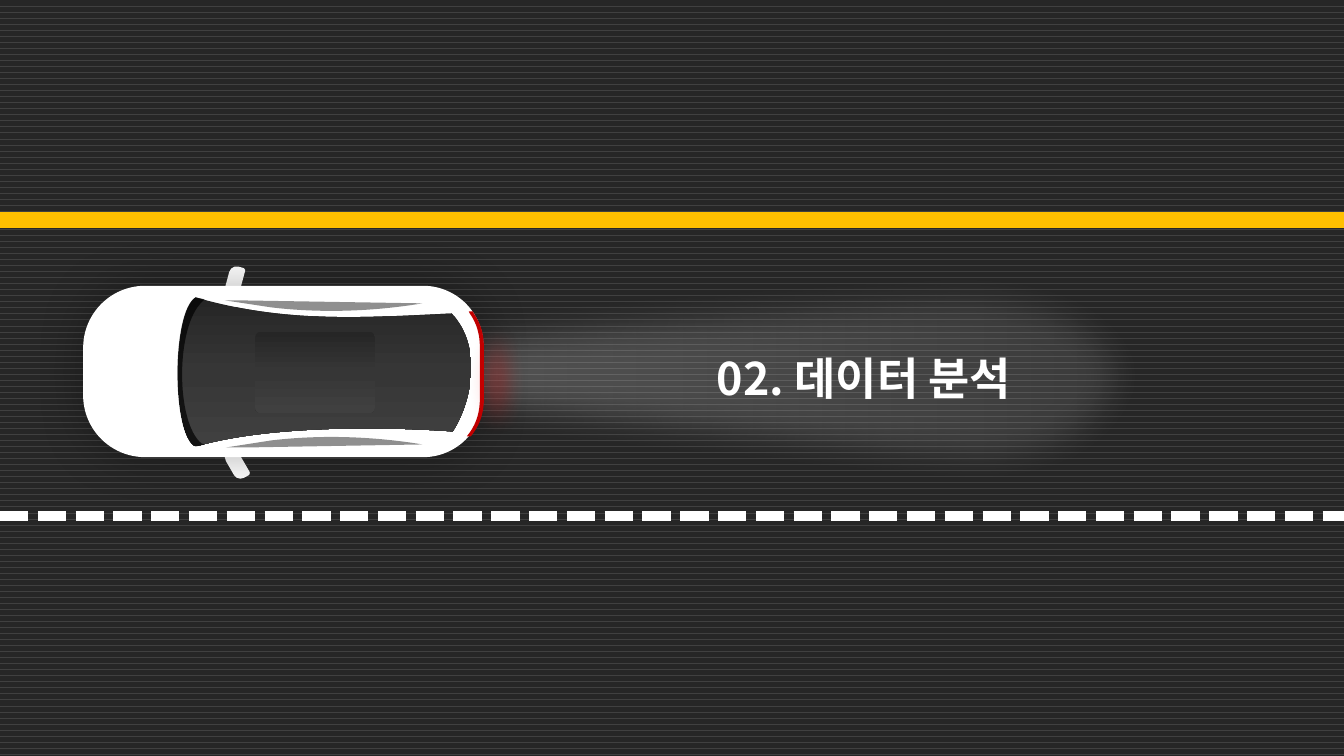
import pptx
import pptx.dml.color
import pptx.enum.dml
import pptx.enum.shapes
import pptx.enum.text
import pptx.oxml
import pptx.oxml.ns
import pptx.util
from pptx.util import Inches

FONT = "Noto Sans CJK KR"
COLORS = {
    "road": "262626", "road_line": "404040", "white": "FFFFFF", "yellow": "FFC000",
    "black": "000000", "glass_mid": "363636", "tail_light": "C00000", "glow": "FF0000",
}
NS = pptx.oxml.ns.nsdecls("a")
qn = pptx.oxml.ns.qn
SHAPE = pptx.enum.shapes.MSO_SHAPE
GLASS = [(0, "road", 100), (50, "glass_mid", 100), (100, "road_line", 100)]

# Outlines in inches: a start point, then lines (x, y) or Bézier curves (three points)
BEAM = [(2.71, 3.71), (2.71, 3.21, 4.49, 3, 7.1, 2.81), (9.7, 2.61, 11.42, 2.37, 11.48, 3.71),
        (11.37, 5.18, 9.81, 4.93, 7.1, 4.62), (4.38, 4.32, 2.71, 4.22, 2.71, 3.71)]
CABIN = [(1.94, 4.43), (1.71, 4.32, 1.71, 3.1, 1.94, 2.95), (2.84, 3.21, 3.62, 3.15, 4.48, 3.11),
         (4.79, 3.44, 4.68, 3.99, 4.49, 4.28), (3.79, 4.23, 2.66, 4.22, 1.94, 4.43)]
TOP_WINDOW = [(2.23, 2.98), (2.36, 2.98), (4.19, 3.01), (3.71, 3.09, 3.19, 3.11, 2.69, 3.05)]
BOTTOM_WINDOW = [(2.24, 4.44), (2.69, 4.37), (3.19, 4.31, 3.71, 4.33, 4.19, 4.41), (2.43, 4.44)]
TAIL_LIGHT = [(4.63, 4.33), (4.66, 4.29), (4.73, 4.19, 4.76, 4.08, 4.76, 3.95), (4.76, 3.45),
              (4.76, 3.32, 4.73, 3.21, 4.66, 3.11), (4.65, 3.09), (4.69, 3.09), (4.7, 3.11),
              (4.77, 3.21, 4.8, 3.32, 4.8, 3.45), (4.8, 3.95),
              (4.8, 4.08, 4.77, 4.19, 4.7, 4.29), (4.67, 4.33)]
WINDSHIELD = [(1.76, 3.7), (1.76, 3.37, 1.82, 3.02, 1.94, 2.95), (2.03, 2.97), (2.01, 2.99),
              (1.74, 3.23, 1.74, 4.19, 2, 4.4), (2.03, 4.41), (1.94, 4.43),
              (1.82, 4.38, 1.76, 4.04, 1.76, 3.7)]


def rgb(name):
    return pptx.dml.color.RGBColor.from_string(COLORS[name])


def color_xml(name, opacity):
    return f'<a:srgbClr val="{COLORS[name]}"><a:alpha val="{opacity * 1000}"/></a:srgbClr>'


def paint(sp, color, opacity=100):
    sp.shadow.inherit = False
    sp.line.fill.background()
    sp.fill.solid()
    sp.fill.fore_color.rgb = rgb(color)
    if opacity < 100:
        clr = sp._element.spPr.find(qn("a:solidFill"))[0]
        clr.append(pptx.oxml.parse_xml(f'<a:alpha {NS} val="{opacity * 1000}"/>'))


def paint_gradient(sp, stops, angle):
    """Fill with (position, color, opacity) stops, the angle running clockwise."""
    paint(sp, stops[0][1])
    gs = "".join(f'<a:gs pos="{pos * 1000}">{color_xml(color, opacity)}</a:gs>'
                 for pos, color, opacity in stops)
    solid = sp._element.spPr.find(qn("a:solidFill"))
    solid.getparent().replace(solid, pptx.oxml.parse_xml(
        f'<a:gradFill {NS} rotWithShape="1"><a:gsLst>{gs}</a:gsLst>'
        f'<a:lin ang="{angle * 60000}" scaled="0"/></a:gradFill>'))


def add_effect(sp, xml):
    sp._element.spPr.find(qn("a:effectLst")).append(pptx.oxml.parse_xml(xml))


def soften(sp, radius):
    add_effect(sp, f'<a:softEdge {NS} rad="{Inches(radius)}"/>')


def add_preset(s, kind, left, top, width, height, adjustments=(), rotation=0):
    sp = s.shapes.add_shape(kind, Inches(left), Inches(top), Inches(width), Inches(height))
    for i, value in enumerate(adjustments):
        sp.adjustments[i] = value
    sp.rotation = rotation
    return sp


def bounds(outline, steps=50):
    """Return left, top, right and bottom, counting the bulge of curves."""
    points = [outline[0]]
    for segment in outline[1:]:
        x0, y0 = points[-1]
        points.append(segment[-2:])
        if len(segment) == 6:
            x1, y1, x2, y2, x3, y3 = segment
            for t in (i / steps for i in range(steps)):
                a, b, c, d = (1 - t) ** 3, 3 * t * (1 - t) ** 2, 3 * t * t * (1 - t), t ** 3
                points.insert(-1, (a * x0 + b * x1 + c * x2 + d * x3,
                                   a * y0 + b * y1 + c * y2 + d * y3))
    xs, ys = zip(*points)
    return min(xs), min(ys), max(xs), max(ys)


def add_outline(s, outline):
    """Build a freeform through the anchors, then bend its curved segments."""
    anchors = [(Inches(x), Inches(y)) for *_, x, y in outline]
    builder = s.shapes.build_freeform(*anchors[0])
    builder.add_line_segments(anchors[1:], close=True)
    sp = builder.convert_to_shape()
    left, top, right, bottom = bounds(outline)
    sp.left, sp.top = Inches(left), Inches(top)
    sp.width, sp.height = Inches(right - left), Inches(bottom - top)
    track = next(sp._element.iter(qn("a:path")))
    track.set("w", str(sp.width))
    track.set("h", str(sp.height))
    for old, segment in zip(list(track), outline):
        tag = "moveTo" if segment is outline[0] else "lnTo" if len(segment) == 2 else "cubicBezTo"
        pts = "".join(f'<a:pt x="{Inches(x - left)}" y="{Inches(y - top)}"/>'
                      for x, y in zip(segment[::2], segment[1::2]))
        track.replace(old, pptx.oxml.parse_xml(f"<a:{tag} {NS}>{pts}</a:{tag}>"))
    return sp


def add_lane_line(s, y, color, width, dash=None):
    line = s.shapes.add_connector(pptx.enum.shapes.MSO_CONNECTOR.STRAIGHT,
                                  0, Inches(y), Inches(13.33), Inches(y))
    line.line.color.rgb = rgb(color)
    line.line.width = pptx.util.Pt(width)
    if dash:
        line.line.dash_style = dash
    line._element.spPr.append(pptx.oxml.parse_xml(f"<a:effectLst {NS}/>"))


def add_title(s, text):
    sp = s.shapes.add_textbox(Inches(5.56), Inches(3.16), Inches(5.93), Inches(0.81))
    tf = sp.text_frame
    tf.word_wrap = True
    tf.auto_size = pptx.enum.text.MSO_AUTO_SIZE.SHAPE_TO_FIT_TEXT
    p = tf.paragraphs[0]
    p.alignment = pptx.enum.text.PP_ALIGN.CENTER
    p.line_spacing = 1.5
    p._p.get_or_add_pPr().set("marL", str(Inches(0.09)))
    r = p.add_run()
    r.text = text
    r.font.size = pptx.util.Pt(32)
    r.font.bold = True
    r.font.color.rgb = rgb("white")
    r.font.name = FONT
    r._r.get_or_add_rPr().append(pptx.oxml.parse_xml(f'<a:ea {NS} typeface="{FONT}"/>'))


def add_beam(s):
    beam = add_outline(s, BEAM)
    paint_gradient(beam, [(0, "white", 24), (100, "white", 9)], 0)
    soften(beam, 0.35)


def add_car(s):
    for left, top, rotation in ((2.17, 2.72, 285), (2.19, 4.53, 240)):
        mirror = add_preset(s, SHAPE.ROUND_2_SAME_RECTANGLE, left, top, 0.31, 0.15,
                            (0.5, 0.18), rotation)
        paint(mirror, "white")
    body = add_preset(s, SHAPE.ROUND_2_SAME_RECTANGLE, 1.96, 1.7, 1.7, 3.97, (0.361, 0.352), 270)
    paint(body, "white")
    add_effect(body, f'<a:outerShdw {NS} blurRad="{pptx.util.Pt(34)}" algn="ctr" '
                     f'rotWithShape="0">{color_xml("black", 30)}</a:outerShdw>')
    paint_gradient(add_outline(s, CABIN), GLASS, 90)
    for outline, color, opacity in ((TOP_WINDOW, "black", 44), (BOTTOM_WINDOW, "black", 44),
                                    (TAIL_LIGHT, "tail_light", 100), (WINDSHIELD, "black", 69)):
        paint(add_outline(s, outline), color, opacity)
    sunroof = add_preset(s, SHAPE.ROUNDED_RECTANGLE, 2.53, 3.29, 1.19, 0.81, (0.071,))
    paint_gradient(sunroof, GLASS, 90)
    glow = add_preset(s, SHAPE.OVAL, 4.6, 2.91, 0.66, 1.73)
    paint(glow, "glow", 30)
    soften(glow, 0.22)


def main():
    prs = pptx.Presentation()
    prs.slide_width, prs.slide_height = Inches(13.33), Inches(7.5)
    s = prs.slides.add_slide(prs.slide_layouts[6])
    road = s.background.fill
    road.patterned()
    road.pattern = pptx.enum.dml.MSO_PATTERN.DASHED_HORIZONTAL
    road.fore_color.rgb = rgb("road_line")
    road.back_color.rgb = rgb("road")
    add_lane_line(s, 5.12, "white", 6.75, pptx.enum.dml.MSO_LINE.SQUARE_DOT)
    add_title(s, "02. 데이터 분석")
    add_beam(s)
    add_car(s)
    add_lane_line(s, 2.18, "yellow", 11.75)
    prs.save("out.pptx")


if __name__ == "__main__":
    main()
